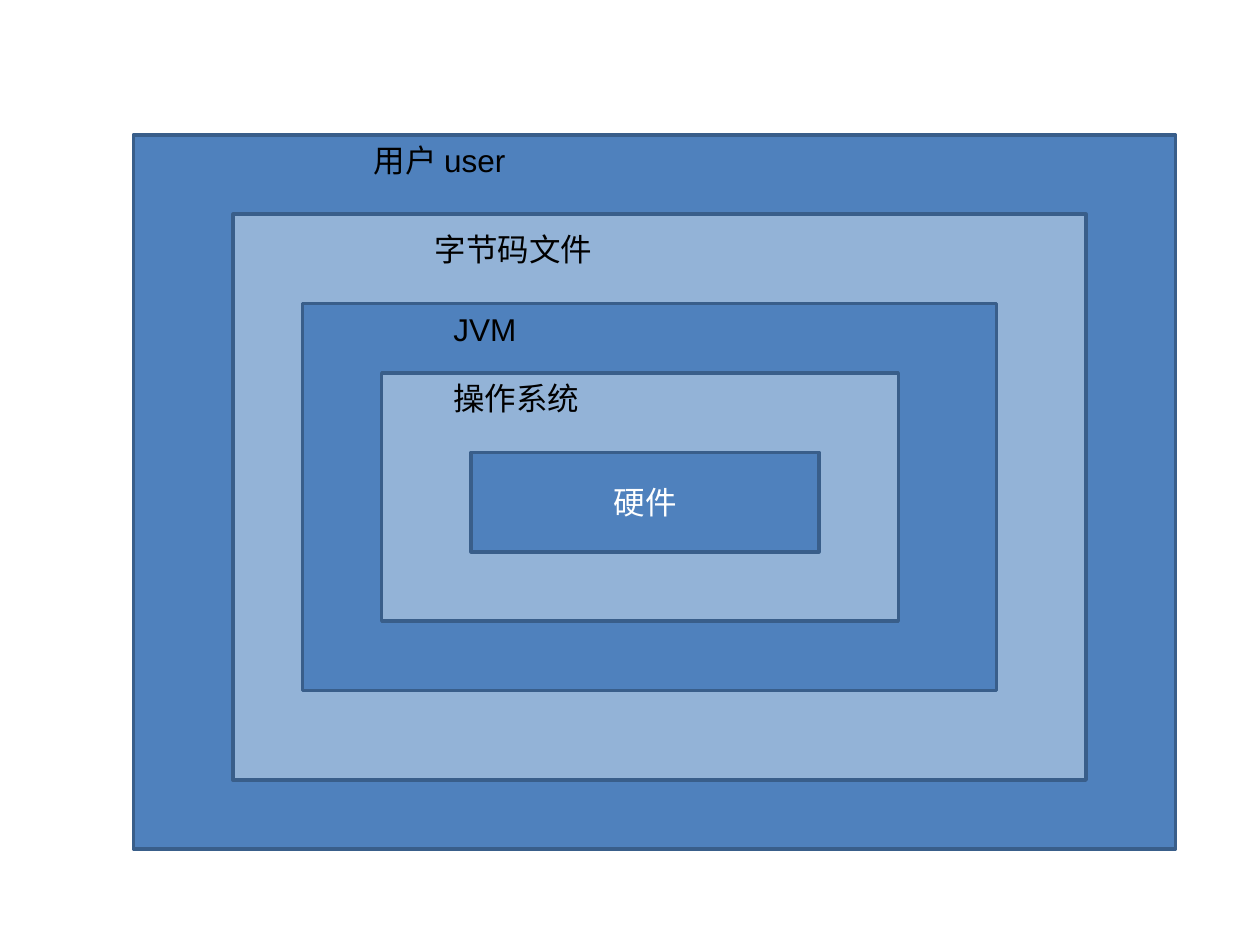
import dataclasses

import pptx
import pptx.dml.color
import pptx.enum.shapes
import pptx.enum.text
import pptx.util


@dataclasses.dataclass(frozen=True)
class Theme:
    layer_fills: tuple = ("4F81BD", "93B3D7")
    outline: str = "395E8A"
    outline_width: float = 2
    label_color: str = "000000"
    core_color: str = "FFFFFF"
    font: str = "Arial"
    text_size: float = 18


THEME = Theme()
WIDTH = pptx.util.Inches(10)
HEIGHT = pptx.util.Inches(7.5)

LAYERS = [
    (10.6, 14.27, 82.7, 75.6),
    (18.5, 22.67, 67.7, 59.87),
    (24, 32.13, 55.1, 40.93),
    (30.3, 39.47, 41, 26.27),
    (37.4, 47.87, 27.6, 10.53),
]
LABEL_HEIGHT = 5.33
LABELS = [
    ("操作系统", 35, 39.47, 29.9),
    ("JVM", 35, 32.13, 32.3),
    ("字节码文件", 33.5, 23.73, 36.2),
    ("用户 user", 28.7, 14.27, 23.6),
]


def rgb(value):
    return pptx.dml.color.RGBColor.from_string(value)


def place(left, top, width, height):
    return (
        round(WIDTH * left / 100),
        round(HEIGHT * top / 100),
        round(WIDTH * width / 100),
        round(HEIGHT * height / 100),
    )


def write_text(box, text, color, alignment):
    frame = box.text_frame
    frame.word_wrap = True
    frame.text = text
    para = frame.paragraphs[0]
    para.alignment = alignment
    for span in para.runs:
        span.font.name = THEME.font
        span.font.size = pptx.util.Pt(THEME.text_size)
        span.font.color.rgb = rgb(color)


def add_layer(page, area, fill):
    box = page.shapes.add_shape(
        pptx.enum.shapes.MSO_SHAPE.RECTANGLE, *place(*area)
    )
    box.shadow.inherit = False
    box.fill.solid()
    box.fill.fore_color.rgb = rgb(fill)
    box.line.color.rgb = rgb(THEME.outline)
    box.line.width = pptx.util.Pt(THEME.outline_width)
    return box


def add_label(page, text, left, top, width):
    box = page.shapes.add_textbox(*place(left, top, width, LABEL_HEIGHT))
    write_text(box, text, THEME.label_color, pptx.enum.text.PP_ALIGN.LEFT)
    box.text_frame.auto_size = pptx.enum.text.MSO_AUTO_SIZE.SHAPE_TO_FIT_TEXT


def main():
    deck = pptx.Presentation()
    deck.slide_width = WIDTH
    deck.slide_height = HEIGHT
    page = deck.slides.add_slide(deck.slide_layouts[6])
    for index, area in enumerate(LAYERS):
        core = add_layer(page, area, THEME.layer_fills[index % 2])
    write_text(core, "硬件", THEME.core_color, pptx.enum.text.PP_ALIGN.CENTER)
    core.text_frame.vertical_anchor = pptx.enum.text.MSO_ANCHOR.MIDDLE
    for label in LABELS:
        add_label(page, *label)
    deck.save("out.pptx")


if __name__ == "__main__":
    main()
